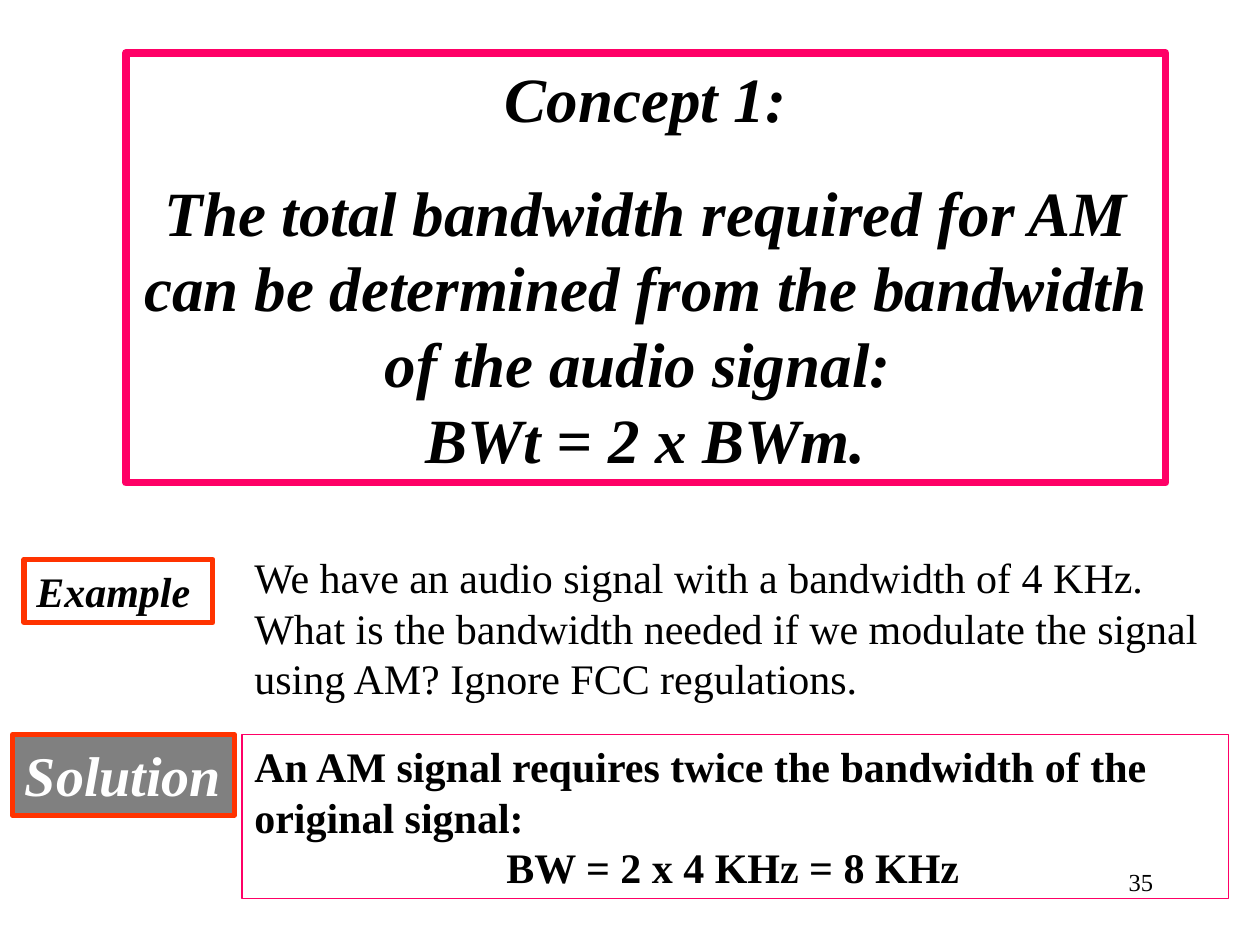
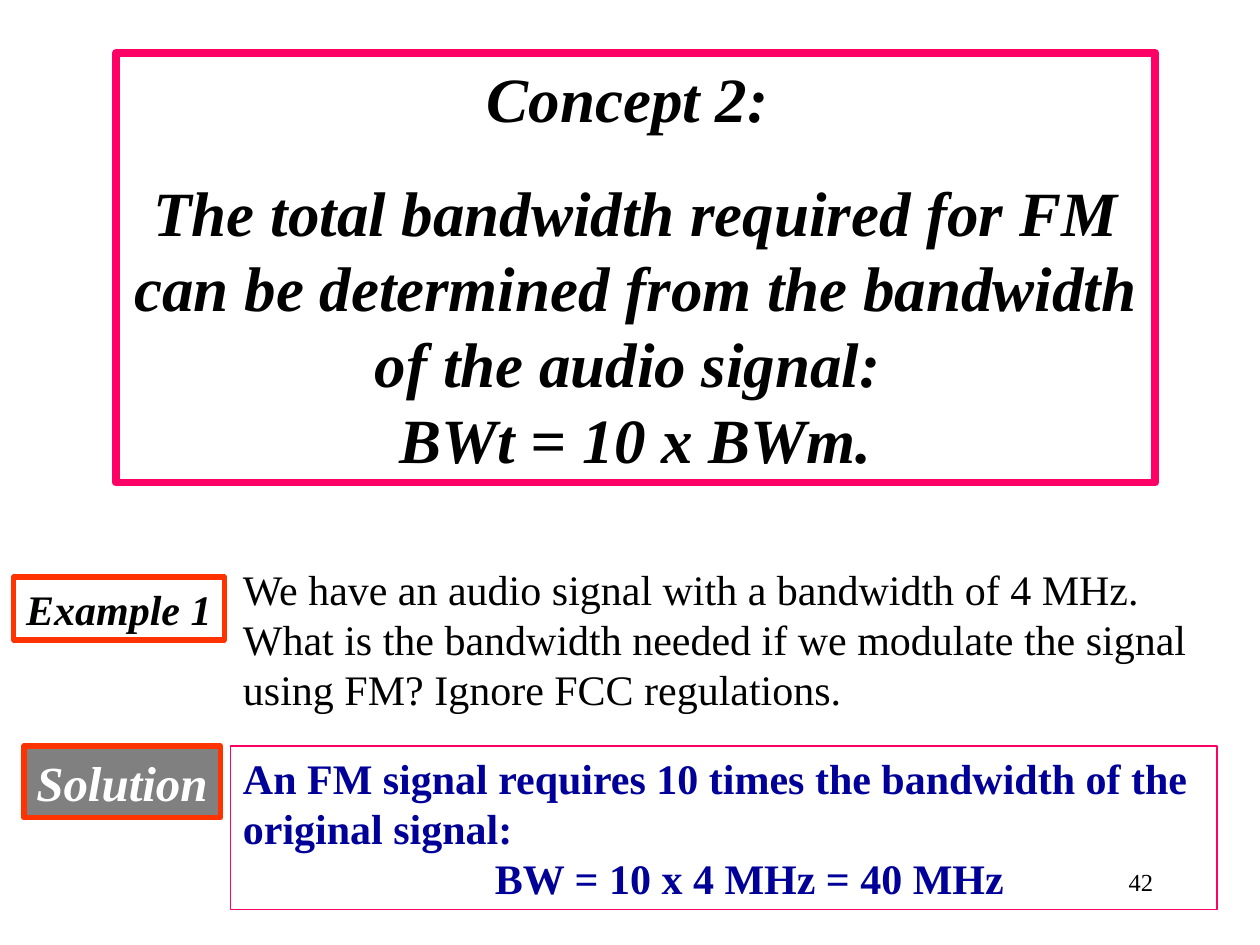
"""Builds two slides on the bandwidth of AM and FM signals."""
from pptx import Presentation, util as u
from pptx.dml.color import RGBColor
from pptx.enum import shapes, text

FONT = "Times New Roman"
BLACK, WHITE, GRAY, NAVY = "000000", "FFFFFF", "808080", "000099"
ORANGE, PINK = "FF3300", "FF0066"
LINE_SPACING = 1.2
INDENT = 2
CONCEPT_TOP, CONCEPT_SIZE = 0.42, (8.25, 3.41)
BODY_HEIGHT = 1.3
SOLUTION_WIDTH = 7.83
NUMBER_BOX = (7.17, 6.83, 2.08, 0.5)

SLIDES = [
    {
        "concept": ["Concept 1:",
                    "The total bandwidth required for AM can be determined from "
                    "the bandwidth of the audio signal: \nBWt = 2 x BWm."],
        "concept_left": 1,
        "example": ("Example", (0.19, 4.44, 1.5, 0.5)),
        "question": "We have an audio signal with a bandwidth of 4 KHz. What is the "
                    "bandwidth needed if we modulate the signal using AM? "
                    "Ignore FCC regulations.",
        "question_top": 4.33,
        "question_width": 7.75,
        "solution_label": ("Solution", (0.1, 5.83, 1.76, 0.64), 32),
        "solution": ["An AM signal requires twice the bandwidth of the original signal:",
                     "BW = 2 x 4 KHz = 8 KHz"],
        "solution_color": BLACK,
        "body_left": 1.92,
        "solution_top": 5.83,
        "number": "35",
    },
    {
        "concept": ["Concept 2: ",
                    "The total bandwidth required for FM can be determined from "
                    "the bandwidth of the audio signal: \nBWt = 10 x BWm."],
        "concept_left": 0.92,
        "example": ("Example 1", (0.11, 4.58, 1.67, 0.5)),
        "question": "We have an audio signal with a bandwidth of 4 MHz. What is the "
                    "bandwidth needed if we modulate the signal using FM? "
                    "Ignore FCC regulations.",
        "question_top": 4.42,
        "question_width": 7.83,
        "solution_label": ("Solution", (0.19, 5.92, 1.56, 0.57), 28),
        "solution": ["An FM signal requires 10 times the bandwidth of the original signal:",
                     "BW = 10 x 4 MHz = 40 MHz"],
        "solution_color": NAVY,
        "body_left": 1.83,
        "solution_top": 5.92,
        "number": "42",
    },
]


def rgb(value):
    return RGBColor.from_string(value)


def write(sp, lines, size, color=BLACK, bold=False, italic=False,
          align=text.PP_ALIGN.LEFT, gap=0):
    tf = sp.text_frame
    tf.word_wrap = True
    tf.vertical_anchor = text.MSO_ANCHOR.TOP
    for i, line in enumerate(lines):
        p = tf.add_paragraph() if i else tf.paragraphs[0]
        p.text = line
        p.alignment = align
        p.line_spacing = u.Pt(size * LINE_SPACING)
        p.space_before = u.Pt(gap if i else 0)
        p.font.name, p.font.size = FONT, u.Pt(size)
        p.font.bold, p.font.italic = bold, italic
        p.font.color.rgb = rgb(color)
    return tf


def add_text(s, box, lines, size, **style):
    return write(s.shapes.add_textbox(*map(u.Inches, box)), lines, size, **style)


def add_box(s, box, lines, size, line, width, fill=WHITE, **style):
    sp = s.shapes.add_shape(shapes.MSO_SHAPE.RECTANGLE, *map(u.Inches, box))
    sp.shadow.inherit = False
    sp.fill.solid()
    sp.fill.fore_color.rgb = rgb(fill)
    sp.line.color.rgb = rgb(line)
    sp.line.width = u.Pt(width)
    return write(sp, lines, size, **style)


def add_label(s, label, box, size, **style):
    tf = add_box(s, box, [label], size, ORANGE, 3, bold=True, italic=True, **style)
    tf.margin_right = 0


def add_concept_slide(prs, d):
    s = prs.slides.add_slide(prs.slide_layouts[6])
    left = d["body_left"]
    add_label(s, *d["example"], 24)
    add_text(s, (left, d["question_top"], d["question_width"], BODY_HEIGHT),
             [d["question"]], 24)
    add_label(s, *d["solution_label"], fill=GRAY, color=WHITE)
    tf = add_box(s, (left, d["solution_top"], SOLUTION_WIDTH, BODY_HEIGHT),
                 d["solution"], 24, PINK, 0.75, color=d["solution_color"], bold=True)
    formula = tf.paragraphs[-1]
    formula._p.get_or_add_pPr().set("marL", str(u.Inches(INDENT)))
    add_box(s, (d["concept_left"], CONCEPT_TOP, *CONCEPT_SIZE), d["concept"], 36,
            PINK, 4.5, bold=True, italic=True, align=text.PP_ALIGN.CENTER, gap=22)
    add_text(s, NUMBER_BOX, [d["number"]], 14, align=text.PP_ALIGN.RIGHT)


def main():
    prs = Presentation()
    prs.slide_width, prs.slide_height = u.Inches(10), u.Inches(7.5)
    for d in SLIDES:
        add_concept_slide(prs, d)
    prs.save("out.pptx")


if __name__ == "__main__":
    main()
